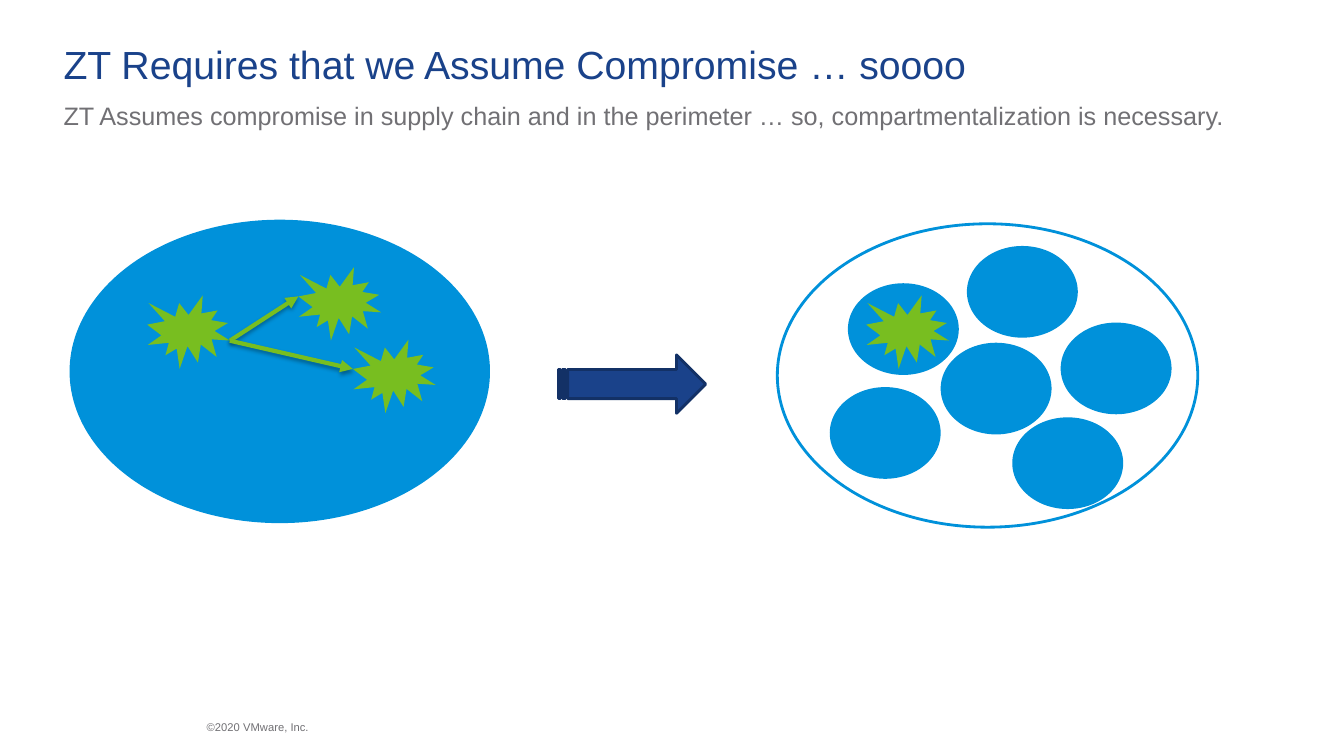
from dataclasses import dataclass
from typing import Optional

import pptx
import pptx.dml.color
import pptx.enum.shapes
import pptx.enum.text
import pptx.oxml
import pptx.oxml.ns
import pptx.util

RGBColor = pptx.dml.color.RGBColor
Kind = pptx.enum.shapes.MSO_SHAPE
Anchor = pptx.enum.text.MSO_ANCHOR

EMU_PER_PX = 9144  # 100 px to the inch
FONT = "Arial"
NAVY = RGBColor(0x1A, 0x42, 0x8A)
DARK_NAVY = RGBColor(0x13, 0x31, 0x66)
BLUE = RGBColor(0x00, 0x91, 0xDA)
GREEN = RGBColor(0x78, 0xBE, 0x20)
GREY = RGBColor(0x71, 0x70, 0x74)
WHITE = RGBColor(0xFF, 0xFF, 0xFF)

SHADOW = (
    f'<a:effectLst {pptx.oxml.ns.nsdecls("a")}>'
    '<a:outerShdw blurRad="39370" dist="22860" dir="5400000" rotWithShape="0">'
    '<a:srgbClr val="000000"><a:alpha val="35000"/></a:srgbClr>'
    "</a:outerShdw></a:effectLst>"
)
ARROWHEAD = f'<a:tailEnd {pptx.oxml.ns.nsdecls("a")} type="triangle"/>'


@dataclass(frozen=True)
class Figure:
    kind: Kind
    left: int
    top: int
    width: int
    height: int
    fill: RGBColor
    outline: Optional[RGBColor] = None


@dataclass(frozen=True)
class Spread:
    """An arrow from one compromised spot to the next."""
    start: tuple[int, int]
    end: tuple[int, int]


def zone(left: int, top: int, fill: RGBColor, outline: Optional[RGBColor] = None) -> Figure:
    return Figure(Kind.OVAL, left, top, 417, 301, fill, outline)


def compartment(left: int, top: int) -> Figure:
    return Figure(Kind.OVAL, left, top, 110, 91, BLUE)


def compromise(left: int, top: int) -> Figure:
    return Figure(Kind.EXPLOSION1, left, top, 82, 73, GREEN)


COMPARTMENTS = [(841, 281), (959, 244), (823, 384), (933, 340), (1052, 320), (1004, 414)]
COMPROMISES = [(146, 293), (296, 265), (350, 337), (859, 293)]
FIGURES = [
    zone(69, 218, BLUE),
    zone(771, 222, WHITE, BLUE),
    *(compartment(*corner) for corner in COMPARTMENTS),
    *(compromise(*corner) for corner in COMPROMISES),
    Figure(Kind.STRIPED_RIGHT_ARROW, 554, 352, 146, 58, NAVY, DARK_NAVY),
]
SPREADS = [Spread((228, 338), (296, 294)), Spread((228, 338), (350, 366))]


def px(length: int) -> pptx.util.Emu:
    return pptx.util.Emu(length * EMU_PER_PX)


def add_figure(page, figure: Figure) -> None:
    shape = page.shapes.add_shape(
        figure.kind, px(figure.left), px(figure.top), px(figure.width), px(figure.height)
    )
    shape.shadow.inherit = False
    shape.fill.solid()
    shape.fill.fore_color.rgb = figure.fill
    if figure.outline is None:
        shape.line.fill.background()
    else:
        shape.line.color.rgb = figure.outline
        shape.line.width = pptx.util.Pt(2)


def add_spread(page, spread: Spread) -> None:
    connector = page.shapes.add_connector(
        pptx.enum.shapes.MSO_CONNECTOR.STRAIGHT,
        *(px(length) for length in spread.start + spread.end),
    )
    connector.line.color.rgb = GREEN
    connector.line.width = pptx.util.Pt(3)
    properties = connector.element.spPr
    line = properties.find(pptx.oxml.ns.qn("a:ln"))
    line.append(pptx.oxml.parse_xml(ARROWHEAD))
    properties.append(pptx.oxml.parse_xml(SHADOW))


def write(box, text: str, size: int, color: RGBColor, anchor: Anchor,
          line_spacing: float = 1.0) -> None:
    frame = box.text_frame
    frame.text = text
    frame.word_wrap = True
    frame.auto_size = pptx.enum.text.MSO_AUTO_SIZE.NONE
    frame.vertical_anchor = anchor
    frame.margin_left = frame.margin_right = 0
    frame.margin_top = frame.margin_bottom = 0
    para = frame.paragraphs[0]
    para.alignment = pptx.enum.text.PP_ALIGN.LEFT
    para.line_spacing = line_spacing
    for span in para.runs:
        span.font.name = FONT
        span.font.size = pptx.util.Pt(size)
        span.font.color.rgb = color


def add_text(page, left: int, top: int, width: int, height: int):
    return page.shapes.add_textbox(px(left), px(top), px(width), px(height))


def main() -> None:
    deck = pptx.Presentation()
    deck.slide_width, deck.slide_height = px(1333), px(750)
    page = deck.slides.add_slide(deck.slide_layouts.get_by_name("Title Only"))

    # Heading
    title = page.shapes.title
    title.left, title.top, title.width, title.height = px(63), px(45), px(1203), px(42)
    write(title, "ZT Requires that we Assume Compromise … soooo", 28, NAVY, Anchor.BOTTOM, 0.9)
    write(
        add_text(page, 63, 100, 1241, 30),
        "ZT Assumes compromise in supply chain and in the perimeter … so, "
        "compartmentalization is necessary.",
        18, GREY, Anchor.TOP,
    )

    # Open zone, compartmentalized zone and the arrow between them
    for figure in FIGURES:
        add_figure(page, figure)
    for spread in SPREADS:
        add_spread(page, spread)

    # Footer
    write(add_text(page, 205, 712, 189, 20), "©2020 VMware, Inc.", 8, GREY, Anchor.MIDDLE, 0.9)

    deck.save("out.pptx")


if __name__ == "__main__":
    main()
